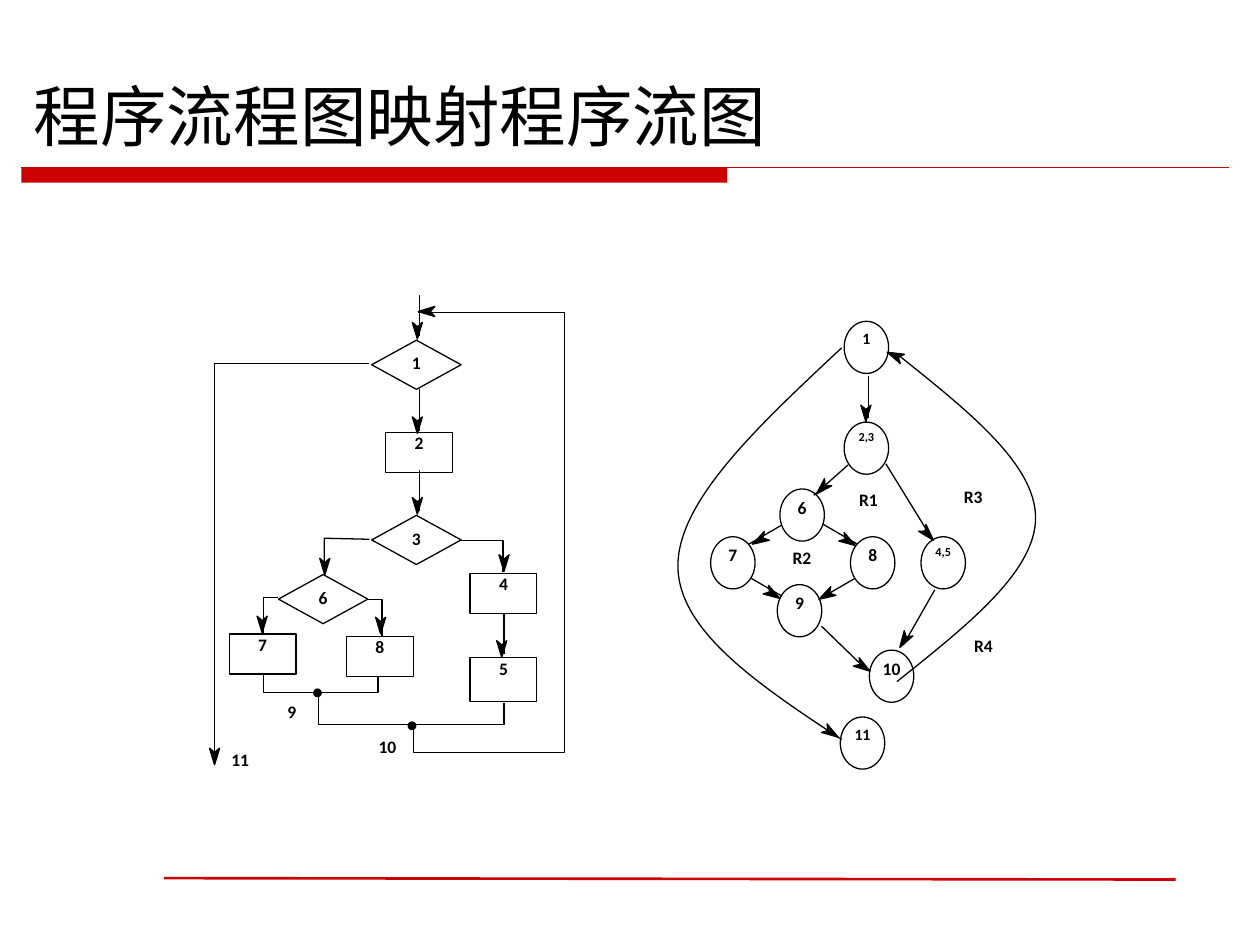
from math import cos, radians, sin

from lxml.etree import SubElement
from pptx import Presentation
from pptx.dml.color import RGBColor
from pptx.enum.shapes import MSO_CONNECTOR, MSO_SHAPE
from pptx.enum.text import MSO_ANCHOR, PP_ALIGN
from pptx.oxml.ns import qn
from pptx.util import Pt

COLORS = {"ink": "000000", "paper": "FFFFFF", "accent": "CC0000"}
TITLE = "程序流程图映射程序流图"

# Flowchart: text, left, top, height
STEPS = [("2", 220.3, 247, 23), ("4", 268.6, 327.6, 23), ("5", 268.6, 375.8, 25.2),
         ("7", 131, 362.2, 23), ("8", 198, 363.6, 23)]
# Text, left, top
DECISIONS = [("1", 212.4, 194.4), ("3", 212.4, 294.5), ("6", 159.1, 328.3)]
EXIT_LABELS = [("9", 154.1, 396.7), ("10", 208.8, 416.2), ("11", 124.6, 424.1)]
JOINS = [(179.3, 393.8), (233.3, 412.6)]

# Flow graph: text, left, top, font size
NODES = [("1", 482.4, 183.6, 9), ("2,3", 482.4, 241.2, 7), ("4,5", 526.3, 306.7, 7),
         ("6", 445.7, 279.4, 10), ("7", 406.1, 306.7, 10), ("8", 486, 306.7, 10),
         ("9", 444.2, 334.1, 10), ("10", 496.8, 371.5, 10), ("11", 480.2, 409.7, 9)]
REGIONS = [("R1", 491, 279.4), ("R2", 452.9, 312.5), ("R3", 550.8, 277.9), ("R4", 556.6, 362.9)]

# Routes: points, then arrow tip and its direction in degrees (clockwise from right)
FLOW_ROUTES = [
    ([(239.8, 168.5), (239.8, 192.2)], (238.5, 193.7), 90),
    ([(239.8, 222.5), (239.8, 246.2)], (238.5, 247.7), 90),
    ([(239.8, 268.6), (239.8, 292.3)], (238.5, 293.8), 90),
    ([(288, 350.6), (288, 373.7)], (286.7, 375.6), 90),
    ([(262.1, 308.7), (287.5, 308.7), (287.5, 327)], (288, 326.5), 90),
    ([(211, 308.2), (185.3, 307.6), (185.3, 327)], (185.6, 328.5), 90),
    ([(209.5, 342.7), (218.2, 342.7), (218.2, 363.6)], (217.5, 362.2), 90),
    ([(159.1, 341.5), (150.5, 341.5), (150.5, 362.2)], (149.8, 361.6), 90),
    ([(211, 207.9), (122.4, 207.9), (122.4, 435)], (122.6, 437), 90),
    ([(239, 178.4), (322.6, 178.4), (322.6, 429.9), (236.2, 429.9), (236.2, 414)], (239, 178), 180),
    ([(216, 386.6), (216, 395.7), (150.5, 395.7), (150.5, 384.5)], None, 0),
    ([(288, 401.8), (288, 414), (182.2, 414), (182.2, 396)], None, 0),
]
GRAPH_ROUTES = [
    ([(496.1, 214.6), (496.1, 239)], (494.8, 241), 90),
    ([(484.6, 265.7), (465.1, 283)], (466.5, 282.3), 135),
    ([(506.2, 265), (532.8, 308.2)], (533.4, 308.7), 48),
    ([(469.4, 357.8), (495.4, 383)], (497.2, 383.6), 34),
    ([(534.2, 337), (516.2, 368.6)], (514.2, 370), 122),
]
DIAMOND_TIPS = [((445.7, 342), 32), ((468, 342.5), 150), ((488.9, 311.8), 32), ((430, 311), 150)]
# Start point, then control, control, end for each Bézier segment
CURVES = [
    ([(512.6, 202.3), (552.2, 234), (591.8, 265), (591.8, 295.9),
      (591.8, 326.9), (552.2, 357.8), (512.6, 389.5)], (507, 201.3), 204),
    ([(481, 198.7), (434.2, 242.6), (387.4, 285.8), (387.4, 323.3),
      (387.4, 360.7), (434.2, 391.7), (481, 422.6)], (479, 421.3), 33),
]


def rgb(name):
    return RGBColor.from_string(COLORS[name])


def add_box(kind, left, top, width, height, text="", size=10, fill="paper",
            outline="ink", align=PP_ALIGN.CENTER):
    box = shapes.add_shape(kind, Pt(left), Pt(top), Pt(width), Pt(height))
    box.shadow.inherit = False
    box.fill.solid()
    box.fill.fore_color.rgb = rgb(fill)
    if outline:
        box.line.color.rgb = rgb(outline)
        box.line.width = Pt(0.75)
    else:
        box.line.fill.background()
    if text:
        frame = box.text_frame
        frame.margin_left = frame.margin_right = frame.margin_top = frame.margin_bottom = 0
        frame.vertical_anchor = MSO_ANCHOR.TOP
        label = frame.paragraphs[0]
        label.text, label.alignment = text, align
        label.font.name, label.font.size, label.font.bold = "Calibri", Pt(size), True
        label.font.color.rgb = rgb("ink")


def add_line(start, end, color="ink", width=0.75):
    line = shapes.add_connector(MSO_CONNECTOR.STRAIGHT, *map(Pt, start + end))
    line.line.color.rgb = rgb(color)
    line.line.width = Pt(width)
    SubElement(line._element.spPr, qn("a:effectLst"))


def add_outline(points, closed=False):
    corners = [(Pt(x), Pt(y)) for x, y in points]
    builder = shapes.build_freeform(*corners[0])
    builder.add_line_segments(corners[1:], close=closed)
    outline = builder.convert_to_shape()
    outline.shadow.inherit = False
    outline.line.color.rgb = rgb("ink")
    outline.line.width = Pt(0.75)
    if closed:
        outline.fill.solid()
        outline.fill.fore_color.rgb = rgb("ink")
    else:
        outline.fill.background()
    return outline


def add_curve(points):
    """Turn each three line segments of an outline into one Bézier segment."""
    curve = add_outline(points)
    segments = list(curve._element.iter(qn("a:lnTo")))
    track = segments[0].getparent()
    for first in range(0, len(segments), 3):
        bezier = SubElement(track, qn("a:cubicBezTo"))
        for segment in segments[first:first + 3]:
            bezier.append(segment[0])
            track.remove(segment)


def add_arrowhead(tip, angle, length=9.5, half_width=2.9, notch=7):
    c, s = cos(radians(angle)), sin(radians(angle))
    dart = [(0, 0), (-length, -half_width), (-notch, 0), (-length, half_width)]
    add_outline([(tip[0] + x * c - y * s, tip[1] + x * s + y * c) for x, y in dart], closed=True)


def add_routes(routes):
    for points, tip, angle in routes:
        if len(points) == 2:
            add_line(*points)
        else:
            add_outline(points)
        if tip:
            add_arrowhead(tip, angle)


prs = Presentation()
prs.slide_width, prs.slide_height = Pt(720), Pt(540)
slide = prs.slides.add_slide(prs.slide_layouts[5])
shapes = slide.shapes

# Title and rules
title = shapes.title
title.left, title.top, title.width, title.height = Pt(12.2), Pt(43.9), Pt(684), Pt(48.2)
title.text_frame.vertical_anchor = MSO_ANCHOR.BOTTOM
heading = title.text_frame.paragraphs[0]
heading.text, heading.alignment = TITLE, PP_ALIGN.LEFT
heading.font.name, heading.font.size = "DejaVu Sans", Pt(38)
heading.font.color.rgb = rgb("ink")
add_box(MSO_SHAPE.RECTANGLE, 12.2, 95.8, 403.2, 8.6, fill="accent", outline=None)
add_line((12.2, 95.8), (702, 95.8), "accent")
add_line((93.6, 501.8), (671.8, 502.6), "accent", 1.5)

# Flow graph
add_box(MSO_SHAPE.DIAMOND, 411.8, 293, 94.3, 54.7)
for text, left, top, size in NODES:
    add_box(MSO_SHAPE.OVAL, left, top, 25.4, 29.8, text, size)
for text, left, top in REGIONS:
    add_box(MSO_SHAPE.RECTANGLE, left, top, 20, 21, text, outline=None, align=PP_ALIGN.JUSTIFY)
add_routes(GRAPH_ROUTES)
for points, tip, angle in CURVES:
    add_curve(points)
    add_arrowhead(tip, angle)
for tip, angle in DIAMOND_TIPS:
    add_arrowhead(tip, angle)

# Flowchart
for text, left, top in EXIT_LABELS:
    add_box(MSO_SHAPE.OVAL, left, top, 25.2, 28.1, text, outline=None)
for text, left, top, height in STEPS:
    add_box(MSO_SHAPE.RECTANGLE, left, top, 38.2, height, text)
for text, left, top in DECISIONS:
    add_box(MSO_SHAPE.DIAMOND, left, top, 51.1, 28.1, text)
add_routes(FLOW_ROUTES)
for left, top in JOINS:
    add_box(MSO_SHAPE.OVAL, left, top, 4.3, 4.3, fill="ink")

prs.save("out.pptx")
